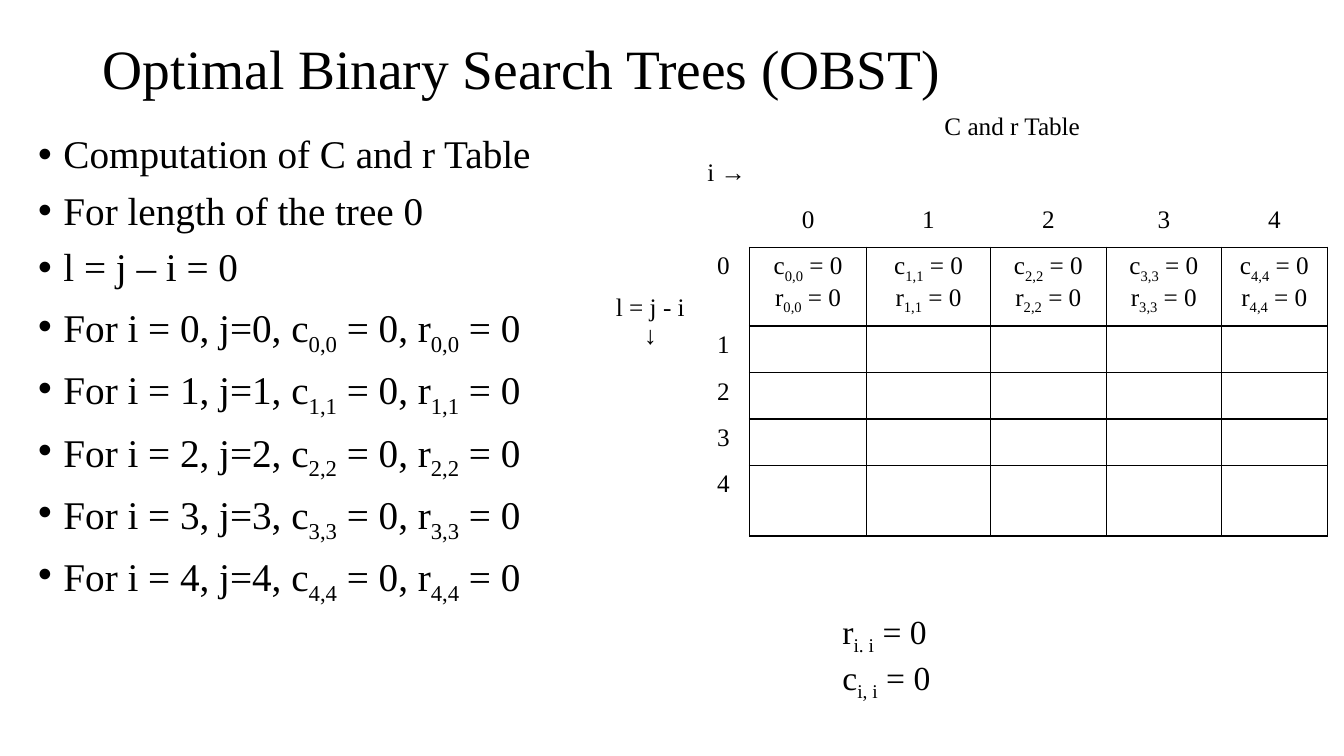
from lxml.etree import SubElement
from pptx import Presentation
from pptx.dml.color import RGBColor
from pptx.enum.text import MSO_ANCHOR as Anchor, MSO_AUTO_SIZE as AutoSize, PP_ALIGN as Align
from pptx.oxml.ns import qn
from pptx.util import Cm, Pt

COLORS = {"text": "000000", "border": "000000"}
FONT = "Times New Roman"


def add_lines(tf, lines, size, align):
    for n, line in enumerate(lines):
        p = tf.paragraphs[0] if n == 0 else tf.add_paragraph()
        p.alignment = align
        for k, part in enumerate(line.split("_")):
            r = p.add_run()
            r.text = part
            r.font.size = Pt(size)
            r.font.name = FONT
            r.font.color.rgb = RGBColor.from_string(COLORS["text"])
            if k % 2:
                r.font._element.set("baseline", "-25000")


def set_borders(cell, sides):
    tcPr = cell._tc.get_or_add_tcPr()
    for side in "LRTB":
        ln = SubElement(tcPr, qn(f"a:ln{side}"), w=str(Pt(1)))
        if side in sides:
            fill = SubElement(ln, qn("a:solidFill"))
            SubElement(fill, qn("a:srgbClr"), val=COLORS["border"])
        else:
            SubElement(ln, qn("a:noFill"))


prs = Presentation()
prs.slide_width, prs.slide_height = Cm(33.87), Cm(19.05)
s = prs.slides.add_slide(prs.slide_layouts[5])

title = s.shapes.title
title.left, title.top, title.width, title.height = Cm(2.34), Cm(1.02), Cm(29.21), Cm(1.55)
tf = title.text_frame
tf.auto_size = AutoSize.NONE
tf.vertical_anchor = Anchor.MIDDLE
add_lines(tf, ["Optimal Binary Search Trees (OBST)"], 39.6, Align.LEFT)
tf.paragraphs[0].line_spacing = 0.9

steps = ["Computation of C and r Table", "For length of the tree 0", "l = j – i = 0"]
steps += [f"For i = {i}, j={i}, c_{i},{i}_ = 0, r_{i},{i}_ = 0" for i in range(5)]
tf = s.shapes.add_textbox(Cm(0.71), Cm(3.28), Cm(13.46), Cm(14.76)).text_frame
tf.word_wrap = True
add_lines(tf, steps, 28, Align.JUSTIFY)
for n, p in enumerate(tf.paragraphs):
    p.line_spacing = 0.9
    p.space_before = Pt(10 if n else 0)
    pPr = p._p.get_or_add_pPr()
    pPr.set("marL", str(Cm(0.64)))
    pPr.set("indent", str(-Cm(0.64)))
    SubElement(pPr, qn("a:buFont"), typeface="Arial")
    SubElement(pPr, qn("a:buChar"), char="•")

col_widths = [2.36, 1.32, 2.95, 3.12, 2.92, 2.9, 2.67]
row_heights = [1.17] * 3 + [1.86] + [1.17] * 3 + [1.68]
table = s.shapes.add_table(8, 7, Cm(15.21), Cm(2.72), Cm(sum(col_widths)), Cm(sum(row_heights))).table
table.first_row = table.horz_banding = False
for col, width in zip(table.columns, col_widths):
    col.width = Cm(width)
for row, height in zip(table.rows, row_heights):
    row.height = Cm(height)

for y in range(8):
    for x in range(7):
        cell = table.cell(y, x)
        if y > 2 and x > 1:
            sides = "LRTB"
        elif y == 2 and x > 1:
            sides = "B"
        elif y > 2 and x == 1:
            sides = "R"
        else:
            sides = ""
        set_borders(cell, sides)
        cell.fill.background()

table.cell(0, 0).merge(table.cell(7, 0))
table.cell(0, 1).merge(table.cell(0, 6))
table.cell(1, 1).merge(table.cell(1, 2))
table.cell(0, 0).vertical_anchor = Anchor.MIDDLE

cell_lines = {(0, 0): ["l = j - i", "↓"], (0, 1): ["C and r Table"], (1, 1): ["i →"]}
for i in range(5):
    cell_lines[2, i + 2] = [str(i)]
    cell_lines[i + 3, 1] = [str(i)]
    cell_lines[3, i + 2] = [f"{name}_{i},{i}_ = 0" for name in "cr"]
for (y, x), lines in cell_lines.items():
    align = Align.LEFT if (y, x) == (1, 1) else Align.CENTER
    add_lines(table.cell(y, x).text_frame, lines, 18, align)

tf = s.shapes.add_textbox(Cm(20.98), Cm(15.27), Cm(8.61), Cm(2.31)).text_frame
tf.word_wrap = True
tf.auto_size = AutoSize.SHAPE_TO_FIT_TEXT
add_lines(tf, ["r_i. i_ = 0", "c_i, i_ = 0"], 24, Align.JUSTIFY)

prs.save("out.pptx")
